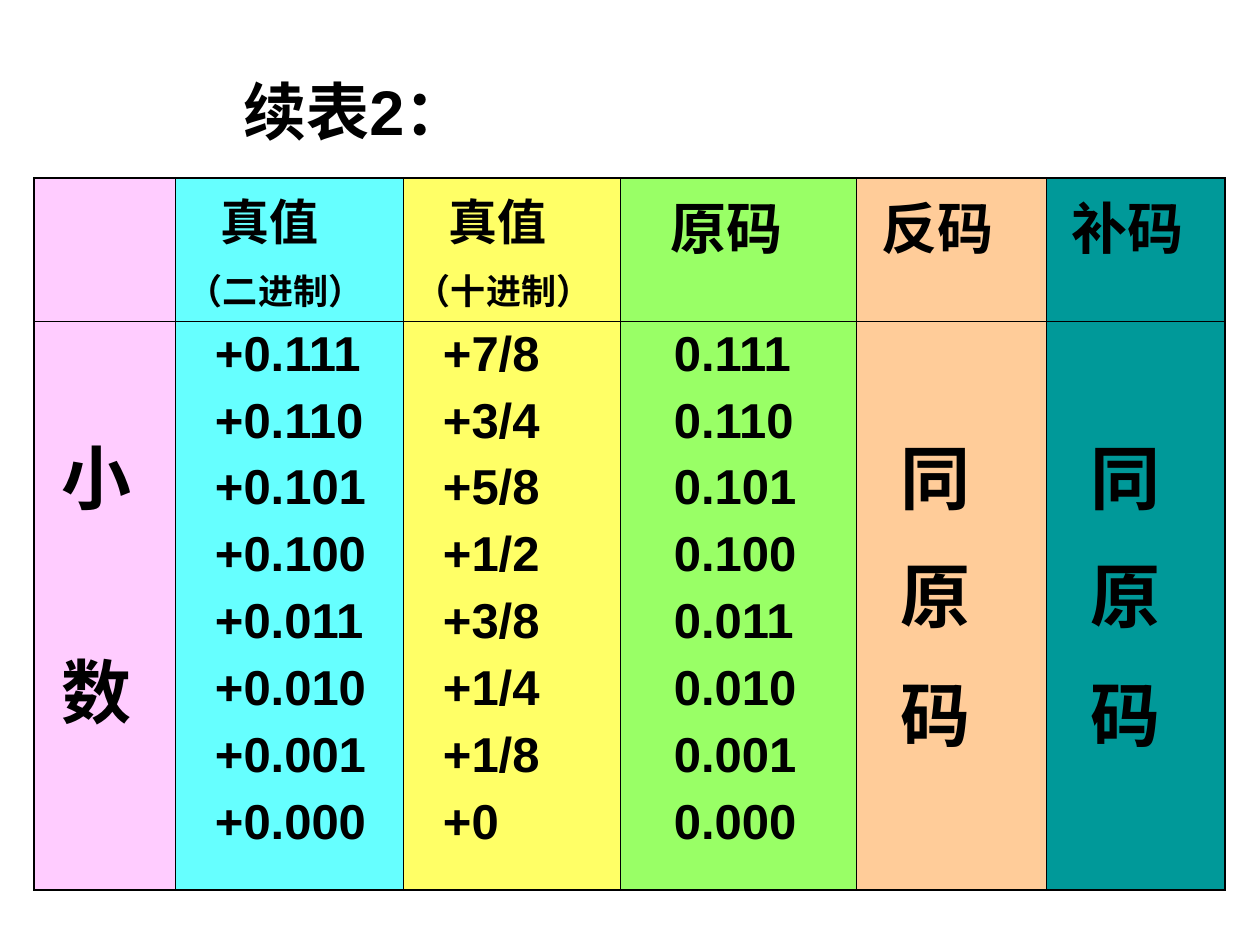
"""Build the sign-magnitude table slide for fractions."""
from dataclasses import dataclass

from lxml import etree
from pptx import Presentation
from pptx import util as u
from pptx.dml.color import RGBColor
from pptx.enum import text
from pptx.oxml.ns import qn

SCALE = 914400 / 126
INK = "000000"
THIN, THICK = 0.45, 1.08


@dataclass
class Line:
    words: str
    size: int
    indent: int = 0
    before: int = 0


@dataclass
class Column:
    width: int
    fill: str
    head: list[Line]
    body: list[Line]
    top: int = 6


def px(n: int) -> u.Emu:
    return u.Emu(round(n * SCALE))


def color(code: str) -> RGBColor:
    return RGBColor.from_string(code)


def stack(words: str, size: int, indent: int, before: int) -> list[Line]:
    return [Line(word, size, indent, before if i else 0)
            for i, word in enumerate(words.split())]


def write(frame, lines: list[Line]) -> None:
    frame.text = "\n".join(line.words for line in lines)
    for para, line in zip(frame.paragraphs, lines):
        para.space_before = u.Pt(line.before)
        para._p.get_or_add_pPr().set("marL", str(px(line.indent)))
        for run in para.runs:
            font = run.font
            font.name, font.size, font.bold = "Arial", u.Pt(line.size), True
            font.color.rgb = color(INK)


def border(cell, side: str, width: float) -> None:
    edge = etree.SubElement(cell._tc.get_or_add_tcPr(), qn(f"a:ln{side}"),
                            w=str(u.Pt(width)))
    fill = etree.SubElement(edge, qn("a:solidFill"))
    etree.SubElement(fill, qn("a:srgbClr"), val=INK)


def paint(cell, lines: list[Line], fill: str, outer: str, top: int) -> None:
    write(cell.text_frame, lines)
    cell.margin_left = cell.margin_right = px(13)
    cell.margin_top, cell.margin_bottom = px(top), px(6)
    for side in "LRTB":
        border(cell, side, THICK if side in outer else THIN)
    cell.fill.solid()
    cell.fill.fore_color.rgb = color(fill)


def title(slide, words: str) -> None:
    box = slide.shapes.add_textbox(px(231), px(52), px(966), px(116))
    frame = box.text_frame
    frame.word_wrap = True
    frame.vertical_anchor = text.MSO_ANCHOR.MIDDLE
    write(frame, [Line(words, 36)])


def grid(slide, cols: list[Column]) -> None:
    rows = (143, 569)
    table = slide.shapes.add_table(
        len(rows), len(cols), px(34), px(178),
        px(sum(col.width for col in cols)), px(sum(rows))).table
    table.first_row = table.horz_banding = False
    for row, high in zip(table.rows, rows):
        row.height = px(high)
    for i, col in enumerate(cols):
        table.columns[i].width = px(col.width)
        side = "L" if i == 0 else "R" if i == len(cols) - 1 else ""
        paint(table.cell(0, i), col.head, col.fill, side + "T", 6)
        paint(table.cell(1, i), col.body, col.fill, side + "B", col.top)


def main() -> None:
    bits = [f"0.{n:03b}" for n in range(7, -1, -1)]
    signed = " ".join("+" + bit for bit in bits)
    parts = "+7/8 +3/4 +5/8 +1/2 +3/8 +1/4 +1/8 +0"
    same = stack("同 原 码", 40, 32, 10)
    cols = [
        Column(141, "FFCCFF", [], stack("小 数", 40, 15, 65), 102),
        Column(228, "66FFFF",
               [Line("真值", 28, 33), Line("（二进制）", 20, 0, 5)],
               stack(signed, 28, 27, 7)),
        Column(217, "FFFF66",
               [Line("真值", 28, 33), Line("（十进制）", 20, 0, 5)],
               stack(parts, 28, 27, 7)),
        Column(236, "99FF66", [Line("原码", 32, 38)],
               stack(" ".join(bits), 28, 41, 7)),
        Column(190, "FFCC99", [Line("反码", 32, 13)], same, 102),
        Column(179, "009999", [Line("补码", 32, 13)], same, 102),
    ]
    deck = Presentation()
    deck.slide_width, deck.slide_height = px(1260), px(945)
    slide = deck.slides.add_slide(deck.slide_layouts[6])
    title(slide, "续表2：")
    grid(slide, cols)
    deck.save("out.pptx")


if __name__ == "__main__":
    main()
